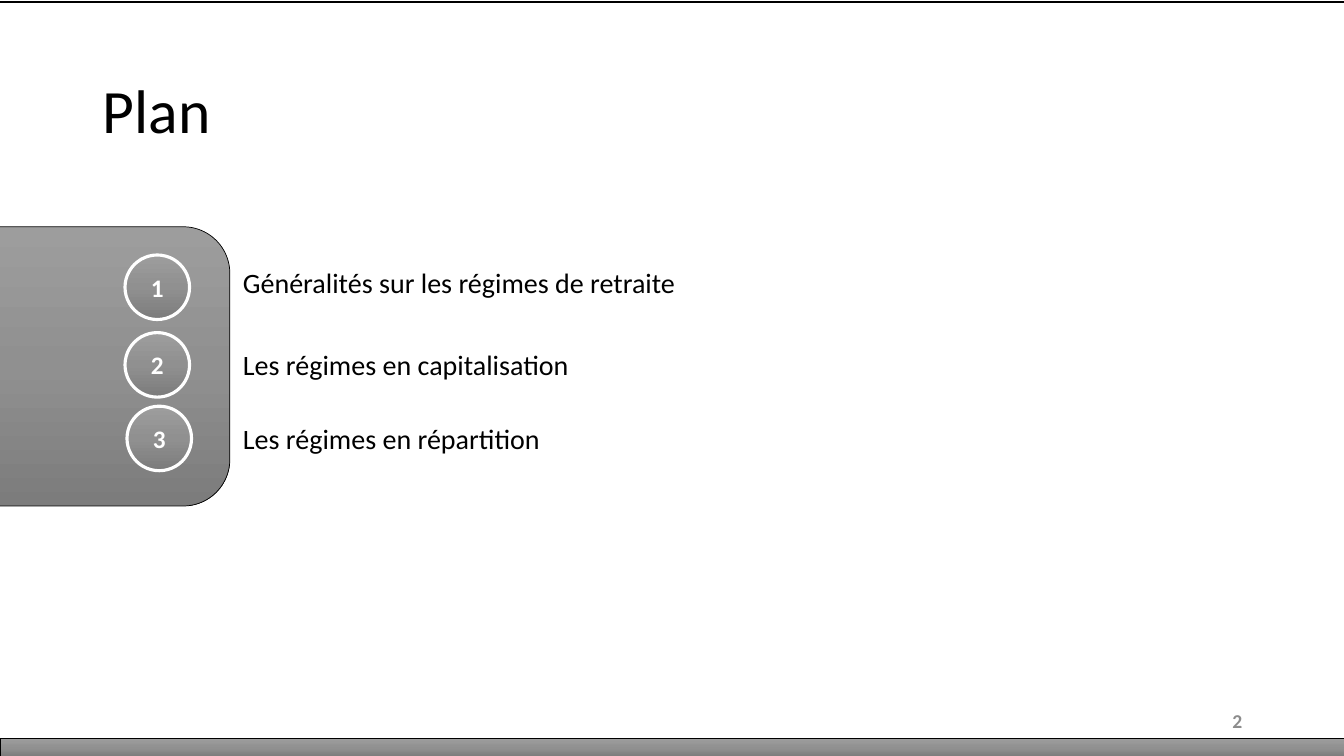
from copy import deepcopy
from dataclasses import dataclass

from pptx import Presentation
from pptx.dml.color import RGBColor
from pptx.enum.shapes import MSO_CONNECTOR, MSO_SHAPE
from pptx.enum.text import MSO_ANCHOR, PP_ALIGN
from pptx.oxml.ns import qn
from pptx.util import Inches, Pt

LEFT, CENTER, RIGHT = PP_ALIGN.LEFT, PP_ALIGN.CENTER, PP_ALIGN.RIGHT
MIDDLE = MSO_ANCHOR.MIDDLE
STRAIGHT = MSO_CONNECTOR.STRAIGHT
RECTANGLE, OVAL = MSO_SHAPE.RECTANGLE, MSO_SHAPE.OVAL
ROUNDED = MSO_SHAPE.ROUNDED_RECTANGLE

TITLE = "Plan"
PAGE_NUMBER = "2"
# number, badge left, badge top, label, label top, label width
CHAPTERS = [
    ("1", 1.24, 2.53, "Généralités sur les régimes de retraite", 2.5, 4.6),
    ("2", 1.24, 3.3, "Les régimes en capitalisation", 3.32, 3.75),
    ("3", 1.26, 4.03, "Les régimes en répartition", 4.05, 4.09),
]

SLIDE_W, SLIDE_H = 13.33, 7.5
BADGE = 0.64
LABEL_LEFT = 2.35


@dataclass(frozen=True)
class Theme:
    font: str = "Calibri"
    ink: str = "000000"
    light: str = "FFFFFF"
    muted: str = "8C8C8C"
    gradient: tuple = ((0, "9D9D9D"), (0.5, "909090"), (1, "7C7C7C"))
    title_size: float = 44
    label_size: float = 20
    badge_size: float = 18
    page_size: float = 14


THEME = Theme()


def write(shape, text, size, color, bold=False, align=LEFT,
          insets=(0.1, 0.05), spacing=1.0):
    frame = shape.text_frame
    frame.word_wrap = True
    frame.vertical_anchor = MIDDLE
    frame.margin_left = frame.margin_right = Inches(insets[0])
    frame.margin_top = frame.margin_bottom = Inches(insets[1])
    frame.text = text
    paragraph = frame.paragraphs[0]
    paragraph.alignment = align
    paragraph.line_spacing = spacing
    font = paragraph.runs[0].font
    font.name, font.size, font.bold = THEME.font, Pt(size), bold
    font.color.rgb = RGBColor.from_string(color)


def add_text(slide, box, *args, **kwargs):
    write(slide.shapes.add_textbox(*map(Inches, box)), *args, **kwargs)


def add_metal(slide, kind, box, line_color, line_width):
    """Add a shape with the grey gradient running from top to bottom."""
    shape = slide.shapes.add_shape(kind, *map(Inches, box))
    shape.shadow.inherit = False
    shape.line.color.rgb = RGBColor.from_string(line_color)
    shape.line.width = Pt(line_width)
    shape.fill.gradient()
    shape.fill.gradient_angle = 270
    stop_list = shape._element.spPr.find(".//" + qn("a:gsLst"))
    stop_list.insert(1, deepcopy(stop_list[0]))
    for stop, (position, color) in zip(shape.fill.gradient_stops, THEME.gradient):
        stop.position = position
        stop.color.rgb = RGBColor.from_string(color)
    return shape


def add_top_rule(slide):
    rule = slide.shapes.add_connector(
        STRAIGHT, 0, Inches(0.02), Inches(SLIDE_W), Inches(0.02))
    rule.line.color.rgb = RGBColor.from_string(THEME.ink)
    rule.line.width = Pt(1.5)
    properties = rule._element.spPr
    properties.append(properties.makeelement(qn("a:effectLst"), {}))


def main():
    deck = Presentation()
    deck.slide_width, deck.slide_height = Inches(SLIDE_W), Inches(SLIDE_H)
    slide = deck.slides.add_slide(deck.slide_layouts[6])

    add_metal(slide, ROUNDED, (-0.92, 2.25, 3.2, 2.77), THEME.ink, 0.5)
    add_text(slide, (0.92, 0.4, 11.5, 1.45), TITLE, THEME.title_size,
             THEME.ink, spacing=0.9)

    for number, badge_left, badge_top, label, label_top, label_width in CHAPTERS:
        add_text(slide, (LABEL_LEFT, label_top, label_width, BADGE), label,
                 THEME.label_size, THEME.ink, insets=(0.06, 0.03), spacing=0.9)
        badge = add_metal(slide, OVAL, (badge_left, badge_top, BADGE, BADGE),
                          THEME.light, 2.25)
        write(badge, number, THEME.badge_size, THEME.light, bold=True,
              align=CENTER, insets=(0, 0))

    add_top_rule(slide)
    add_metal(slide, RECTANGLE, (0, 7.33, SLIDE_W, 0.18), THEME.ink, 0.5)
    add_text(slide, (9.42, 6.95, 3, 0.4), PAGE_NUMBER, THEME.page_size,
             THEME.muted, bold=True, align=RIGHT)
    deck.save("out.pptx")


if __name__ == "__main__":
    main()
